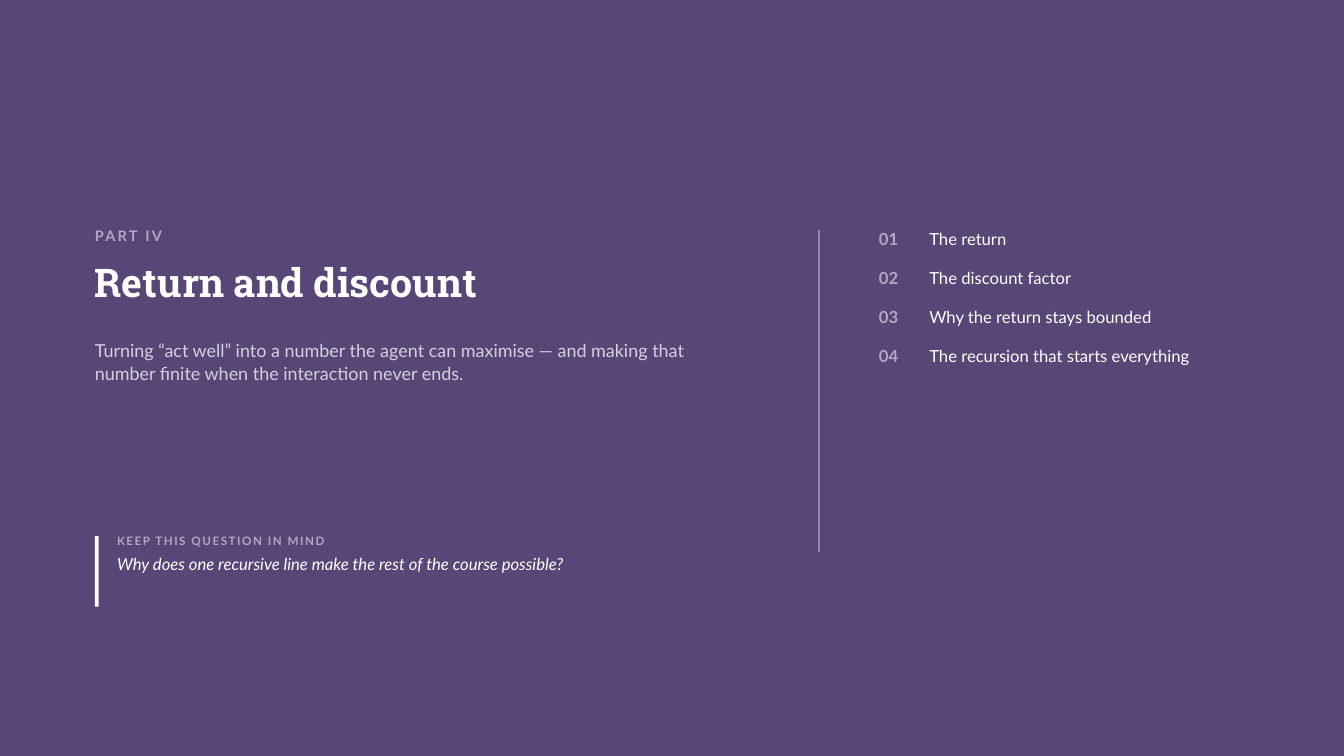
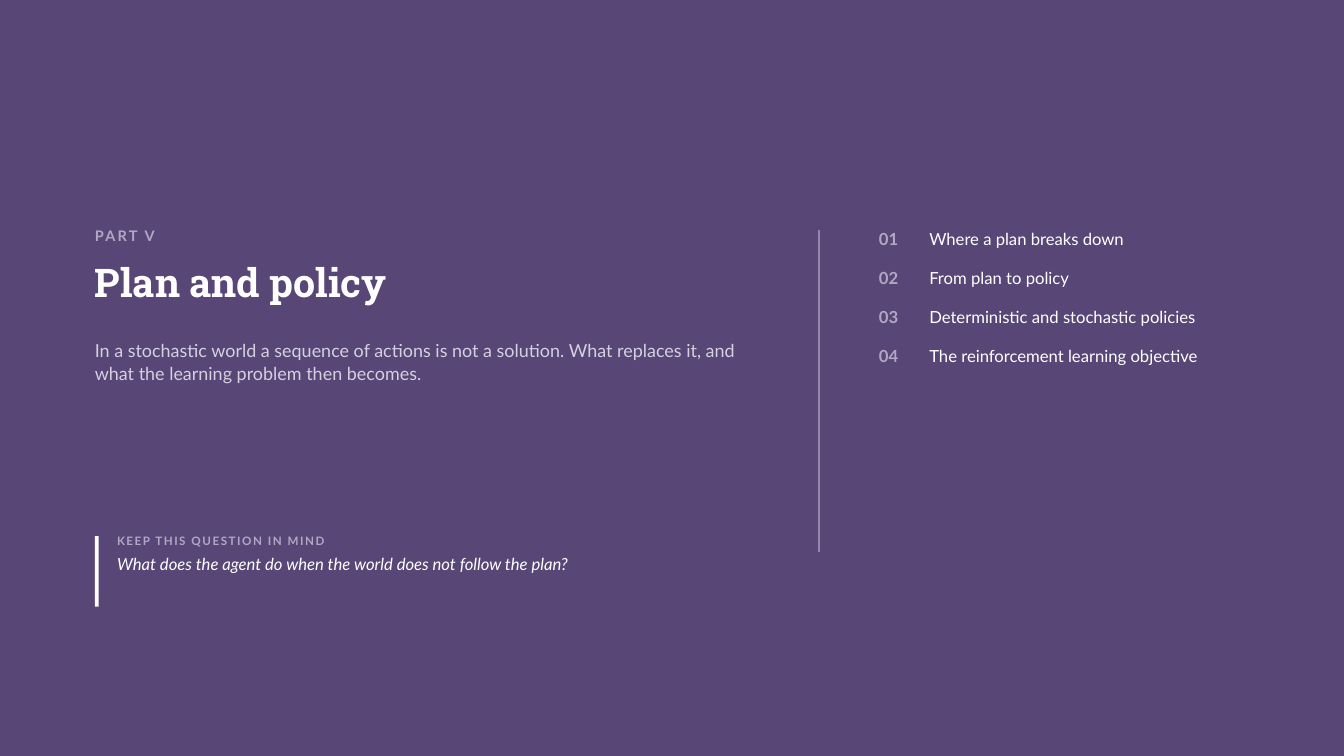
from lxml.etree import SubElement
from pptx import Presentation
from pptx.dml.color import RGBColor
from pptx.enum.shapes import MSO_CONNECTOR, MSO_SHAPE
from pptx.enum.text import MSO_ANCHOR, MSO_AUTO_SIZE, PP_ALIGN
from pptx.oxml.ns import qn
from pptx.util import Cm, Pt

COLORS = {
    "purple": "574676",
    "white": "FFFFFF",
    "label": "B2A7C4",
    "lead": "D6D0E0",
    "divider": "9486AC",
}
BODY_FONT = "Lato"
TITLE_FONT = "Roboto Slab"
LEFT, TOP = 2.39, 5.79
QUESTION_TOP = 13.51
PANEL_HEIGHT = 8.13
NUMBER_TAB = 0.79

PARTS = [
    {
        "label": "PART IV",
        "title": "Return and discount",
        "lead": "Turning “act well” into a number the agent can maximise — "
                "and making that number finite when the interaction never ends.",
        "question": "Why does one recursive line make the rest of the course possible?",
        "topics": ["The return", "The discount factor", "Why the return stays bounded",
                   "The recursion that starts everything"],
    },
    {
        "label": "PART V",
        "title": "Plan and policy",
        "lead": "In a stochastic world a sequence of actions is not a solution. "
                "What replaces it, and what the learning problem then becomes.",
        "question": "What does the agent do when the world does not follow the plan?",
        "topics": ["Where a plan breaks down", "From plan to policy",
                   "Deterministic and stochastic policies",
                   "The reinforcement learning objective"],
    },
]


def color(name):
    return RGBColor.from_string(COLORS[name])


def place(sp, left, top, width, height):
    sp.left, sp.top, sp.width, sp.height = Cm(left), Cm(top), Cm(width), Cm(height)
    tf = sp.text_frame
    tf.margin_left = tf.margin_top = tf.margin_right = tf.margin_bottom = 0
    tf.word_wrap = True
    tf.auto_size = MSO_AUTO_SIZE.NONE
    tf.vertical_anchor = MSO_ANCHOR.TOP
    return tf


def add_text(s, left, top, width, height):
    return place(s.shapes.add_textbox(0, 0, 0, 0), left, top, width, height)


def format_paragraph(p, line, before=0):
    p.alignment = PP_ALIGN.LEFT
    p.line_spacing = Pt(line)
    p.space_before = Pt(before)


def format_run(r, size, fill, font=BODY_FONT, bold=False, italic=False, tracking=0):
    r.font.name = font
    r.font.size = Pt(size)
    r.font.bold = bold
    r.font.italic = italic
    r.font.color.rgb = color(fill)
    if tracking:
        r.font._element.set("spc", str(round(tracking * 100)))


def write(p, text, size, fill, line, before=0, **style):
    p.text = text
    format_paragraph(p, line, before)
    format_run(p.runs[0], size, fill, **style)


def add_question(s, question):
    bar = s.shapes.add_shape(MSO_SHAPE.RECTANGLE, Cm(LEFT), Cm(QUESTION_TOP), Cm(0.1), Cm(1.78))
    bar.shadow.inherit = False
    bar.fill.solid()
    bar.fill.fore_color.rgb = color("white")
    bar.line.fill.background()
    tf = add_text(s, 2.95, QUESTION_TOP, 16, 1.88)
    write(tf.paragraphs[0], "KEEP THIS QUESTION IN MIND", 8.3, "label", 8.3,
          bold=True, tracking=1.1)
    write(tf.add_paragraph(), question, 11.9, "white", 14, before=5, italic=True)


def add_divider(s):
    x = Cm(20.64)
    line = s.shapes.add_connector(MSO_CONNECTOR.STRAIGHT, x, Cm(TOP), x, Cm(TOP + PANEL_HEIGHT))
    line.line.color.rgb = color("divider")
    line.line.width = Pt(1)
    SubElement(line._element.spPr, qn("a:effectLst"))


def fill_topics(sp, topics):
    tf = place(sp, 22.15, TOP, 9.4, PANEL_HEIGHT)
    for i, topic in enumerate(topics):
        p = tf.add_paragraph() if i else tf.paragraphs[0]
        pPr = p._p.get_or_add_pPr()
        pPr.set("marL", "0")
        pPr.set("indent", "0")
        SubElement(pPr, qn("a:buNone"))
        tabs = SubElement(pPr, qn("a:tabLst"))
        SubElement(tabs, qn("a:tab"), pos=str(Cm(NUMBER_TAB)), algn="l")
        format_paragraph(p, 13.8, before=14 if i else 0)
        for text, fill, bold in ((f"{i + 1:02}\t", "label", True), (topic, "white", False)):
            r = p.add_run()
            r.text = text
            format_run(r, 11.9, fill, bold=bold)


def add_part(prs, layout, part):
    s = prs.slides.add_slide(layout)
    tf = place(s.shapes.title, LEFT, 6.65, 17.5, 1.27)
    write(tf.paragraphs[0], part["title"], 28.2, "white", 29.9, font=TITLE_FONT, bold=True)
    tf = add_text(s, LEFT, TOP, 7.6, 0.66)
    write(tf.paragraphs[0], part["label"], 10.4, "label", 10.4, bold=True, tracking=1.6)
    tf = add_text(s, LEFT, 8.53, 16.5, 1.27)
    write(tf.paragraphs[0], part["lead"], 12.8, "lead", 16.4)
    add_question(s, part["question"])
    add_divider(s)
    fill_topics(s.placeholders[1], part["topics"])


def main():
    prs = Presentation()
    prs.slide_width, prs.slide_height = Cm(33.87), Cm(19.05)
    layout = prs.slide_layouts[1]
    layout.background.fill.solid()
    layout.background.fill.fore_color.rgb = color("purple")
    for part in PARTS:
        add_part(prs, layout, part)
    prs.save("out.pptx")


if __name__ == "__main__":
    main()
